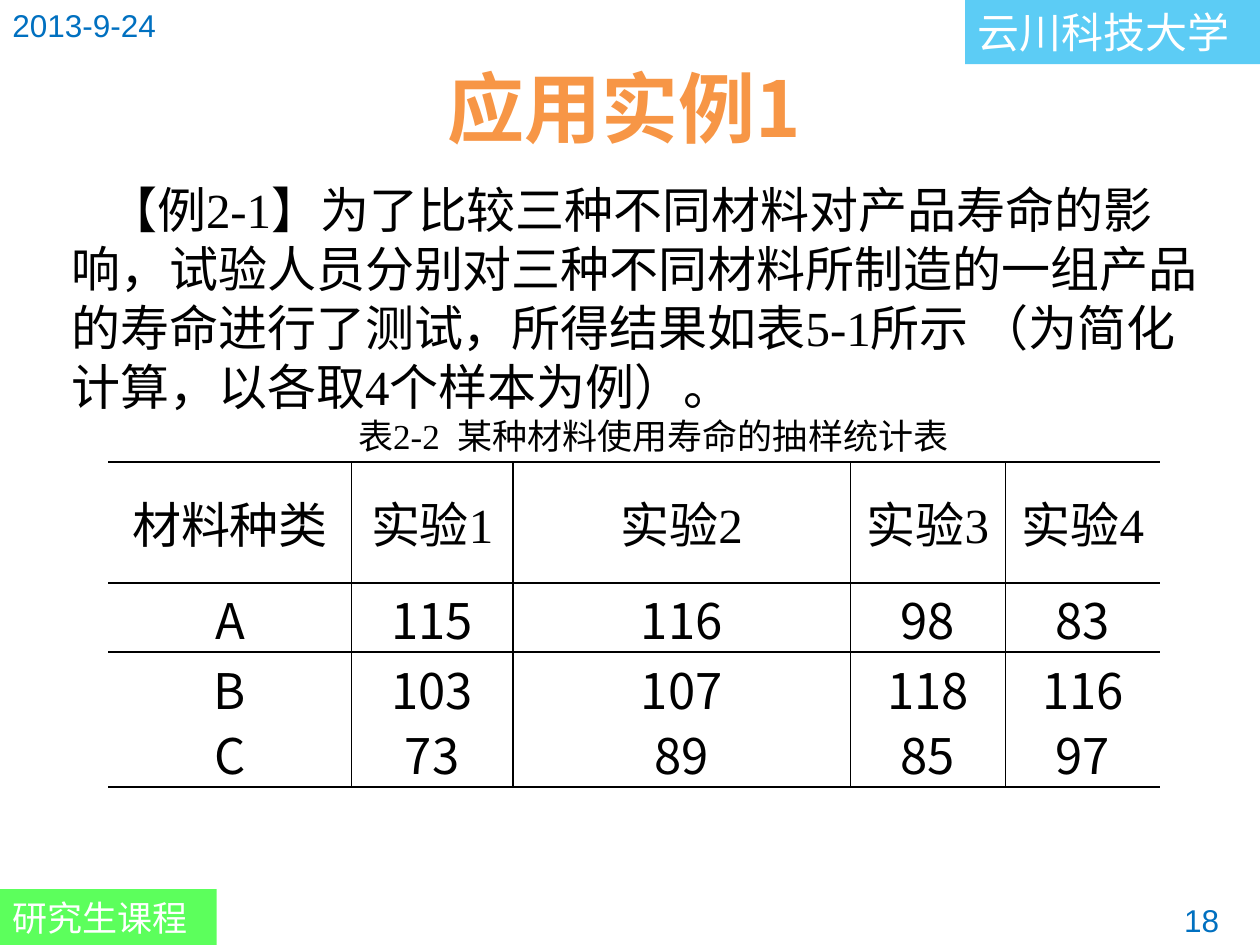
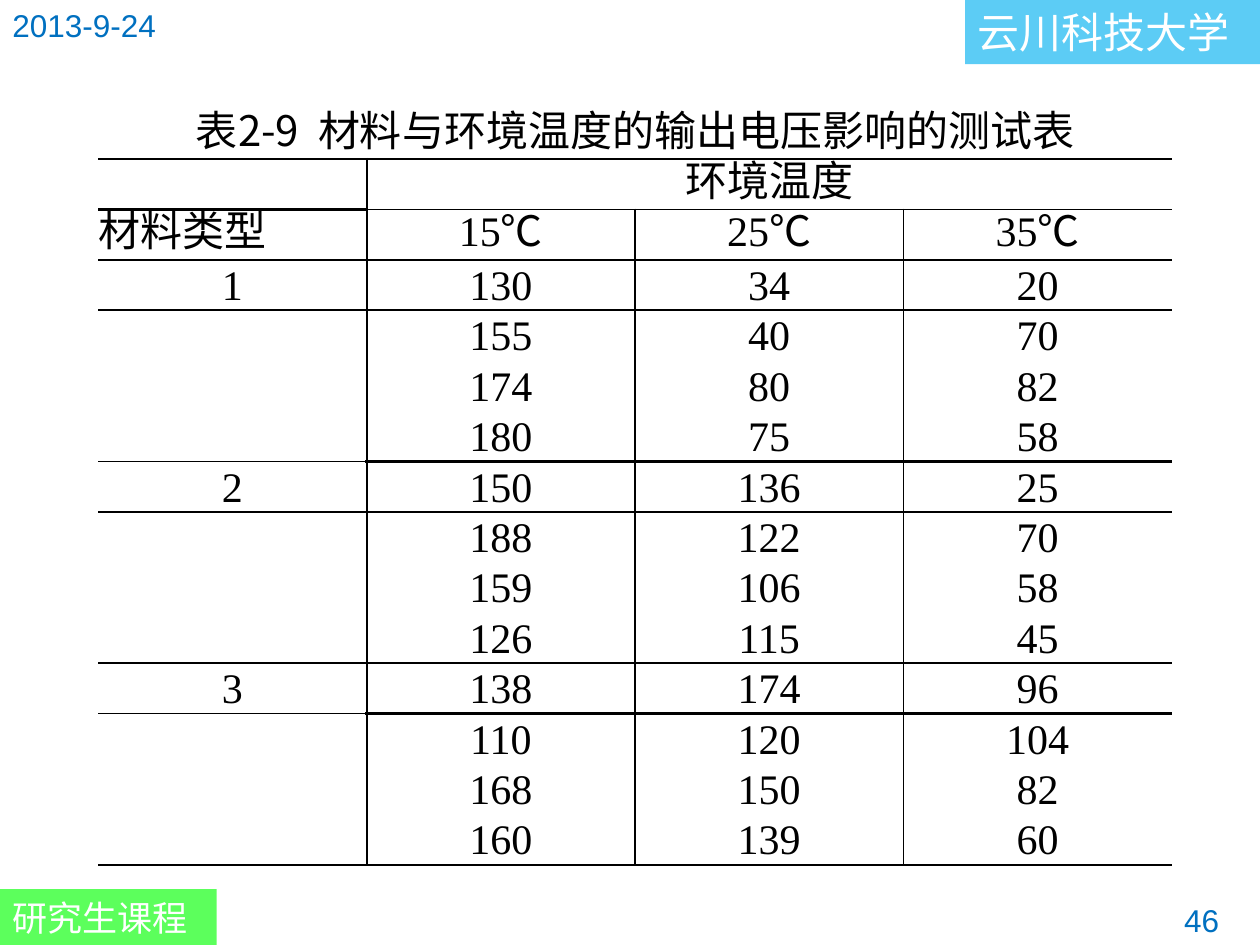
from lxml import etree
from pptx import Presentation
from pptx import util as u
from pptx.dml.color import RGBColor
from pptx.enum import shapes, text
from pptx.oxml.ns import qn

WIDTH, HEIGHT = u.Inches(10), u.Inches(7.5)
BLACK = RGBColor(0x00, 0x00, 0x00)
WHITE = RGBColor(0xFF, 0xFF, 0xFF)
SKY = RGBColor(0x00, 0xB0, 0xF0)
GREEN = RGBColor(0x00, 0xFF, 0x00)
BLUE = RGBColor(0x00, 0x70, 0xC0)
ORANGE = RGBColor(0xF7, 0x96, 0x46)
SERIF, SANS, HAN = "Times New Roman", "Arial", "Noto Sans CJK SC"
NO_STYLE = "{2D5ABB26-0587-4C30-8999-92F81FD0307C}"
TCPR_ORDER = [qn(f"a:{name}") for name in ("lnL", "lnR", "lnT", "lnB", "noFill")]
LEFT, CENTER, JUSTIFY = text.PP_ALIGN.LEFT, text.PP_ALIGN.CENTER, text.PP_ALIGN.JUSTIFY

LIFETIMES = [
    ["材料种类", "实验1", "实验2", "实验3", "实验4"],
    ["A", "115", "116", "98", "83"],
    ["B", "103", "107", "118", "116"],
    ["C", "73", "89", "85", "97"],
]
VOLTAGES = {
    "1": [(130, 34, 20), (155, 40, 70), (174, 80, 82), (180, 75, 58)],
    "2": [(150, 136, 25), (188, 122, 70), (159, 106, 58), (126, 115, 45)],
    "3": [(138, 174, 96), (110, 120, 104), (168, 150, 82), (160, 139, 60)],
}


def place(left, top, width, height):
    """Turn percentages of the slide into lengths."""
    return [round(share * side / 100) for share, side in
            zip((left, top, width, height), (WIDTH, HEIGHT) * 2)]


def write(para, words, size, font, color=BLACK, bold=False):
    """Add a formatted span to a paragraph."""
    span = para.add_run()
    span.text = words
    for name, value in {"size": u.Pt(size), "name": font, "bold": bold}.items():
        setattr(span.font, name, value)
    span.font.color.rgb = color
    east = etree.SubElement(span.font._element, qn("a:ea"))
    east.set("typeface", HAN)


def add_text(page, at, words, size, font, color, align=LEFT, bold=False, wrap=True):
    """Add a text box holding one vertically centred line."""
    frame = page.shapes.add_textbox(*place(*at)).text_frame
    frame.word_wrap = wrap
    frame.vertical_anchor = text.MSO_ANCHOR.MIDDLE
    frame.paragraphs[0].alignment = align
    write(frame.paragraphs[0], words, size, font, color, bold)


def add_band(page, at, words, size, color):
    """Add a translucent band with white words."""
    band = page.shapes.add_shape(shapes.MSO_SHAPE.RECTANGLE, *place(*at))
    band.shadow.inherit = False
    band.line.fill.background()
    band.fill.solid()
    band.fill.fore_color.rgb = color
    tint = band._element.spPr.find(".//" + qn("a:srgbClr"))
    etree.SubElement(tint, qn("a:alpha")).set("val", "64000")
    band.text_frame.vertical_anchor = text.MSO_ANCHOR.MIDDLE
    para = band.text_frame.paragraphs[0]
    para.alignment = LEFT
    write(para, words, size, "Calibri", WHITE)


def add_page(deck, number):
    """Add a blank page with the shared bands, date and page number."""
    page = deck.slides.add_slide(deck.slide_layouts[6])
    add_band(page, (76.6, 0, 23.4, 6.8), "云川科技大学", 24, SKY)
    add_band(page, (0, 94.1, 17.2, 5.9), "研究生课程", 20, GREEN)
    add_text(page, (93, 94.7, 7, 5.3), str(number), 18, SANS, BLUE)
    add_text(page, (0, 0, 14.7, 5.3), "2013-9-24", 18, SANS, BLUE, wrap=False)
    return page


def add_example(page, at, entries):
    """Add the example's paragraphs with fixed line pitch."""
    frame = page.shapes.add_textbox(*place(*at)).text_frame
    frame.word_wrap = True
    for index, (words, size, pitch, align) in enumerate(entries):
        para = frame.add_paragraph() if index else frame.paragraphs[0]
        para._p.get_or_add_pPr().set("indent", str(u.Inches(0.29)))
        para.alignment, para.line_spacing = align, u.Pt(pitch)
        write(para, words, size, SERIF)


def add_grid(page, at, columns, heights, margin):
    """Add a plain table with column widths and row heights in inches."""
    table = page.shapes.add_table(len(heights), len(columns), *place(*at)).table
    table.first_row = table.horz_banding = False
    table._tbl.tblPr.find(qn("a:tableStyleId")).text = NO_STYLE
    for column, width in zip(table.columns, columns):
        column.width = u.Inches(width)
    for row, height in zip(table.rows, heights):
        row.height = u.Inches(height)
    for cell in table.iter_cells():
        cell.fill.background()
        cell.vertical_anchor = text.MSO_ANCHOR.MIDDLE
        for side, gap in {"left": margin, "right": margin, "top": 0, "bottom": 0}.items():
            setattr(cell, f"margin_{side}", u.Inches(gap))
    return table


def fill_cell(cell, spans, size, align=CENTER):
    """Write (words, font) spans into a cell."""
    para = cell.text_frame.paragraphs[0]
    para.alignment = align
    for words, font in spans:
        write(para, words, size, font)


def set_border(cell, side, weight):
    """Draw one black border of a cell."""
    properties = cell._tc.get_or_add_tcPr()
    line = etree.SubElement(properties, qn(f"a:ln{side}"), w=str(u.Pt(weight)))
    solid = etree.SubElement(line, qn("a:solidFill"))
    etree.SubElement(solid, qn("a:srgbClr"), val=str(BLACK))
    properties[:] = sorted(properties, key=lambda item: TCPR_ORDER.index(item.tag))


def rule_across(table, edge, columns, weight):
    """Draw a horizontal rule above row number edge."""
    for column in columns:
        if edge:
            set_border(table.cell(edge - 1, column), "B", weight)
        if edge < len(table.rows):
            set_border(table.cell(edge, column), "T", weight)


def rule_down(table, edge, rows, weight):
    """Draw a vertical rule left of column number edge."""
    for row in rows:
        set_border(table.cell(row, edge - 1), "R", weight)
        set_border(table.cell(row, edge), "L", weight)


def add_lifetimes(page):
    """Add the table of sampled lifetimes."""
    table = add_grid(page, (8.6, 48.9, 83.6, 34.5), (1.93, 1.28, 2.68, 1.23, 1.23),
                     (0.96, 0.55, 0.52, 0.55), 0.08)
    for row, values in enumerate(LIFETIMES):
        for column, value in enumerate(values):
            fill_cell(table.cell(row, column), [(value, HAN if row else SERIF)], 28)
    for edge, weight in {0: 1, 1: 1.5, len(LIFETIMES): 1.5}.items():
        rule_across(table, edge, range(5), weight)
    for edge in range(1, 5):
        rule_down(table, edge, range(len(LIFETIMES)), 1)


def add_voltages(page):
    """Add the table of voltages by material and temperature."""
    table = add_grid(page, (7.8, 11.5, 85.2, 80), [2.13] * 4, [0.4] * 15, 0)
    for cell in table.iter_cells():
        cell.text_frame.paragraphs[0].line_spacing = u.Pt(28)
    table.cell(0, 0).merge(table.cell(0, 3))
    table.cell(1, 1).merge(table.cell(1, 3))
    fill_cell(table.cell(0, 0), [("表2-9  材料与环境温度的输出电压影响的测试表", HAN)], 24)
    fill_cell(table.cell(1, 1), [("环境温度", HAN)], 24)
    fill_cell(table.cell(2, 0), [("材料类型", HAN)], 24, JUSTIFY)
    for column, degrees in enumerate((15, 25, 35), 1):
        fill_cell(table.cell(2, column), [(str(degrees), SERIF), ("℃", HAN)], 24)
    rule_across(table, 1, range(4), 1.5)
    rule_across(table, 2, range(1, 4), 1)
    rule_across(table, 3, range(4), 1.5)
    start = 3
    for material, readings in VOLTAGES.items():
        fill_cell(table.cell(start, 0), [(material, SERIF)], 24)
        for row, values in enumerate(readings, start):
            for column, value in enumerate(values, 1):
                fill_cell(table.cell(row, column), [(str(value), SERIF)], 24)
        start += len(readings)
        rule_across(table, start, [0], 1 if start < 15 else 1.5)
        rule_across(table, start, range(1, 4), 1.5)
    rule_down(table, 1, range(1, 15), 1.5)
    for edge in (2, 3):
        rule_down(table, edge, range(2, 15), 1)


def main():
    """Build both pages and save the deck."""
    deck = Presentation()
    deck.slide_width, deck.slide_height = WIDTH, HEIGHT
    page = add_page(deck, 18)
    add_example(page, (4.7, 18.3, 91.4, 31), [
        ("【例2-1】为了比较三种不同材料对产品寿命的影响，试验人员分别对三种不同材料所制造的"
         "一组产品的寿命进行了测试，所得结果如表5-1所示 （为简化计算，以各取4个样本为例）。",
         28, 33.7, LEFT),
        ("表2-2  某种材料使用寿命的抽样统计表", 20, 23.6, CENTER),
    ])
    add_lifetimes(page)
    add_text(page, (2.3, 2.1, 94.5, 18.3), "应用实例1", 44, HAN, ORANGE, CENTER, bold=True)
    add_voltages(add_page(deck, 46))
    deck.save("out.pptx")


if __name__ == "__main__":
    main()
